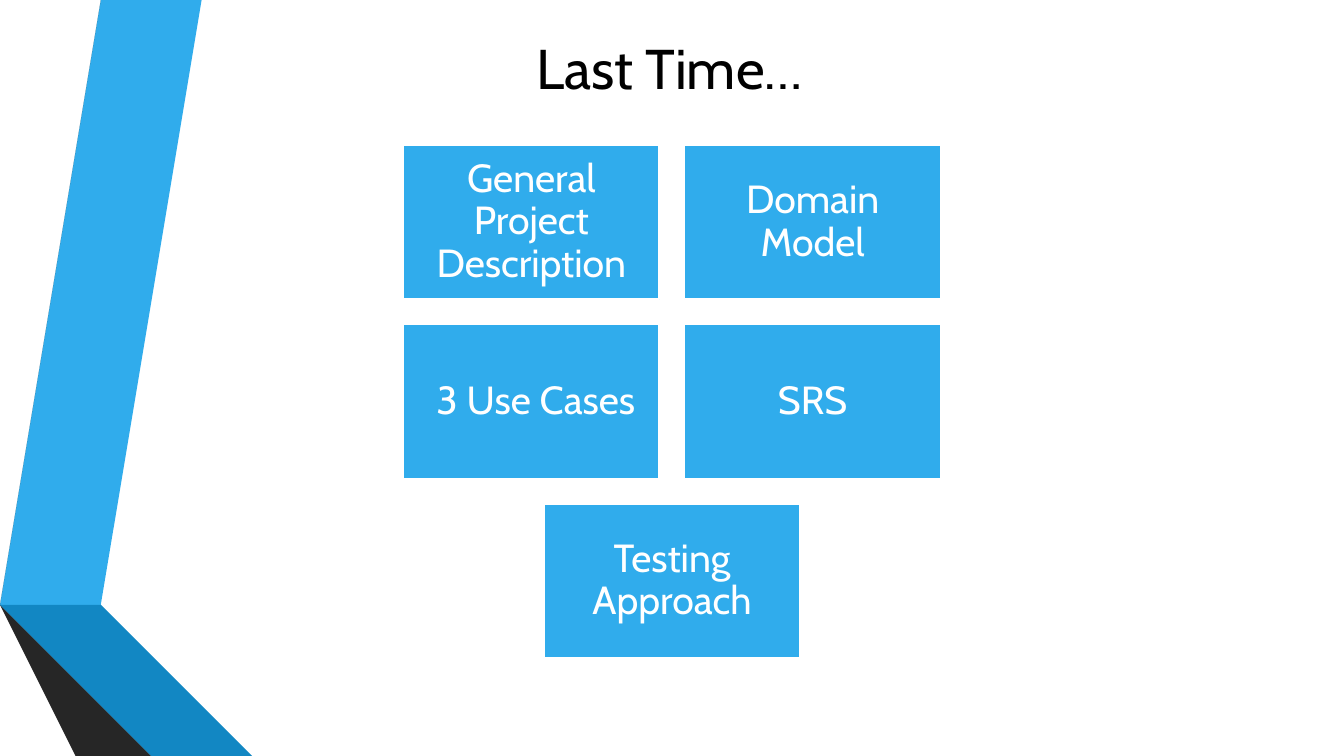
from pptx import Presentation
from pptx.dml.color import RGBColor
from pptx.enum.shapes import MSO_SHAPE
from pptx.enum.text import MSO_ANCHOR, MSO_AUTO_SIZE, PP_ALIGN
from pptx.util import Inches, Pt

FONT = "Cabin"
BLACK = RGBColor(0x00, 0x00, 0x00)
WHITE = RGBColor(0xFF, 0xFF, 0xFF)
BLUE = RGBColor(0x30, 0xAC, 0xEC)
MID_BLUE = RGBColor(0x12, 0x87, 0xC3)
DEEP_BLUE = RGBColor(0x0C, 0x5A, 0x82)
GRAY = RGBColor(0x59, 0x59, 0x59)
DARK_GRAY = RGBColor(0x40, 0x40, 0x40)
CHARCOAL = RGBColor(0x26, 0x26, 0x26)

# Corner points in inches from the top left of the ribbon area
RIBBON_FACES = [
    (BLUE, [(0.5, 5.78), (0.77, 5.83), (1.73, 0), (1.45, 0)]),
    (GRAY, [(1.39, 0), (1.11, 0), (0.16, 5.73), (0.44, 5.77)]),
    (CHARCOAL, [(0.16, 5.73), (1.45, 7.5), (1.51, 7.5)]),
    (DEEP_BLUE, [(0.5, 5.79), (2.08, 7.5), (2.14, 7.5)]),
    (MID_BLUE, [(0.5, 5.78), (0.5, 5.79), (2.14, 7.5), (2.83, 7.5), (0.77, 5.83)]),
    (DARK_GRAY, [(2.02, 7.5), (0.48, 5.83), (0.43, 5.77), (0.16, 5.73), (1.51, 7.5)]),
]
TOPIC_ROWS = [
    ["General Project Description", "Domain Model"],
    [" 3 Use Cases", "SRS"],
    ["Testing Approach"],
]


def write_text(frame, text, size, color, align=PP_ALIGN.LEFT, line_spacing=1.0):
    paragraph = frame.paragraphs[0]
    paragraph.alignment = align
    paragraph.line_spacing = line_spacing
    run = paragraph.add_run()
    run.text = text
    run.font.name = FONT
    run.font.size = Pt(size)
    run.font.color.rgb = color


def draw_ribbons(slide, left, top):
    """Draw the two folded ribbons along the left edge."""
    for color, corners in RIBBON_FACES:
        points = [(left + x, top + y) for x, y in corners]
        outline = slide.shapes.build_freeform(*points[0], scale=Inches(1))
        outline.add_line_segments(points[1:], close=True)
        face = outline.convert_to_shape()
        face.shadow.inherit = False
        face.fill.solid()
        face.fill.fore_color.rgb = color
        face.line.fill.background()


def add_title(slide, text, left, top, width, height):
    title = slide.shapes.add_textbox(
        Inches(left), Inches(top), Inches(width), Inches(height))
    title.text_frame.word_wrap = False
    title.text_frame.auto_size = MSO_AUTO_SIZE.SHAPE_TO_FIT_TEXT
    write_text(title.text_frame, text, size=40, color=BLACK)


def add_topic_card(slide, topic, left, top, width, height):
    card = slide.shapes.add_shape(
        MSO_SHAPE.RECTANGLE,
        Inches(left), Inches(top), Inches(width), Inches(height))
    card.shadow.inherit = False
    card.fill.solid()
    card.fill.fore_color.rgb = BLUE
    card.line.color.rgb = WHITE
    card.line.width = Pt(1.25)
    frame = card.text_frame
    frame.word_wrap = True
    frame.vertical_anchor = MSO_ANCHOR.MIDDLE
    frame.margin_left = frame.margin_right = Inches(0.12)
    frame.margin_top = frame.margin_bottom = Inches(0.12)
    write_text(frame, topic, size=28, color=WHITE,
               align=PP_ALIGN.CENTER, line_spacing=0.9)


def add_topic_grid(slide, left, top, width, height, gap):
    """Fill the box with rows of equal cards, centring any short row."""
    columns = max(len(topics) for topics in TOPIC_ROWS)
    card_width = (width - gap * (columns - 1)) / columns
    card_height = (height - gap * (len(TOPIC_ROWS) - 1)) / len(TOPIC_ROWS)
    for row, topics in enumerate(TOPIC_ROWS):
        indent = (columns - len(topics)) * (card_width + gap) / 2
        for column, topic in enumerate(topics):
            add_topic_card(slide, topic,
                           left + indent + column * (card_width + gap),
                           top + row * (card_height + gap),
                           card_width, card_height)


def main():
    deck = Presentation()
    deck.slide_width = Inches(13.33)
    deck.slide_height = Inches(7.5)
    slide = deck.slides.add_slide(deck.slide_layouts[6])
    draw_ribbons(slide, 0, 0)
    add_title(slide, "Last Time…", 5.22, 0.28, 2.89, 0.77)
    add_topic_grid(slide, 4, 1.44, 5.33, 5.09, gap=0.25)
    deck.save("out.pptx")


if __name__ == "__main__":
    main()
